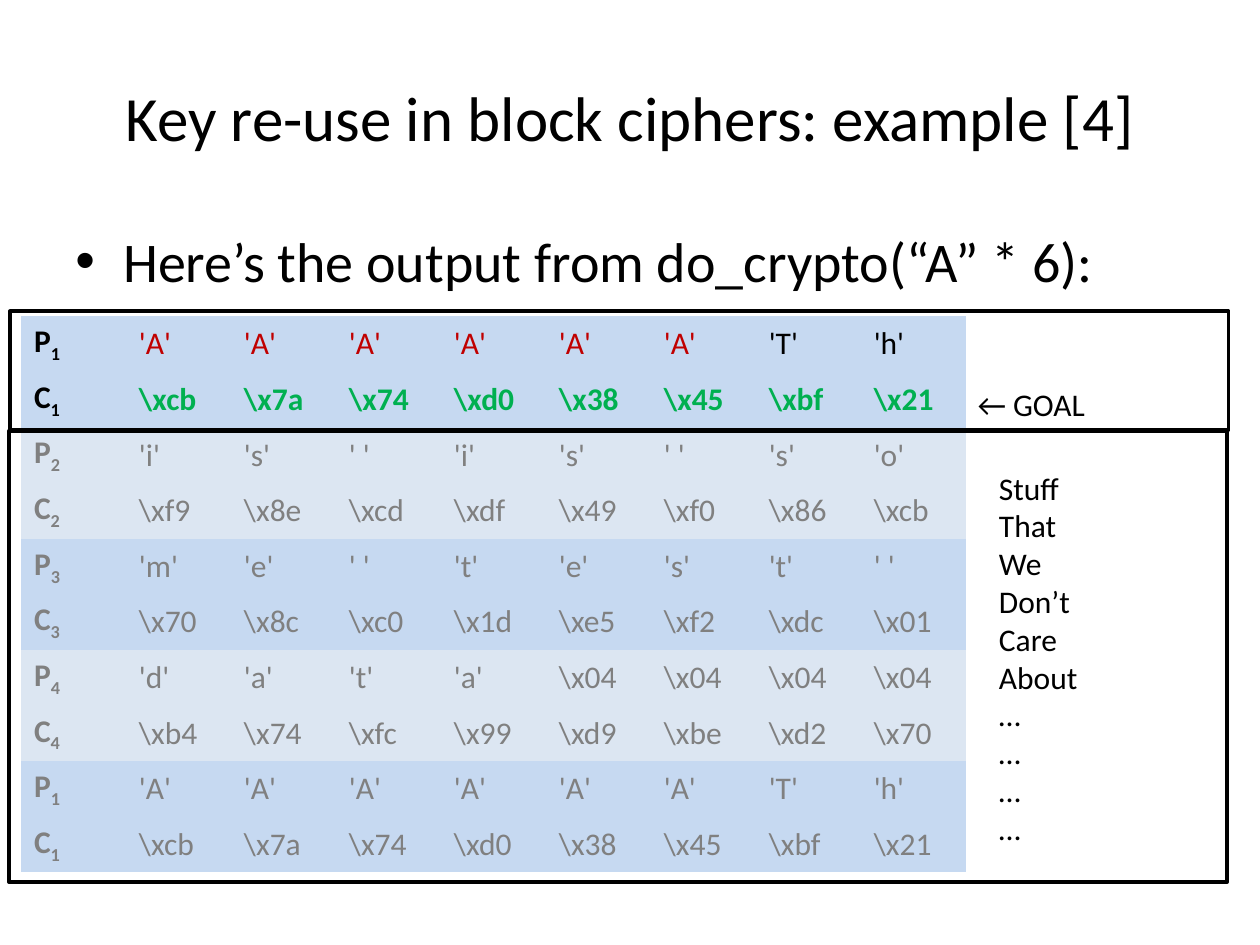
from lxml import etree
from pptx import Presentation
from pptx import util as u
from pptx.dml.color import RGBColor
from pptx.enum import shapes, text
from pptx.oxml import ns

W, H = u.Inches(10), u.Inches(7.5)
FONT = "Calibri"
NO_GRID = "{2D5ABB26-0587-4C30-8999-92F81FD0307C}"
COLORS = {
    "ink": "000000",
    "known": "C00000",
    "goal": "00B050",
    "muted": "808080",
    "band_dark": "C6D9F1",
    "band_light": "DCE6F2",
}
FIRST_BLOCK = [
    r"P1|'A'|'A'|'A'|'A'|'A'|'A'|'T'|'h'",
    r"C1|\xcb|\x7a|\x74|\xd0|\x38|\x45|\xbf|\x21",
]
ROWS = FIRST_BLOCK + [
    r"P2|'i'|'s'|' '|'i'|'s'|' '|'s'|'o'",
    r"C2|\xf9|\x8e|\xcd|\xdf|\x49|\xf0|\x86|\xcb",
    r"P3|'m'|'e'|' '|'t'|'e'|'s'|'t'|' '",
    r"C3|\x70|\x8c|\xc0|\x1d|\xe5|\xf2|\xdc|\x01",
    r"P4|'d'|'a'|'t'|'a'|\x04|\x04|\x04|\x04",
    r"C4|\xb4|\x74|\xfc|\x99|\xd9|\xbe|\xd2|\x70",
] + FIRST_BLOCK
ASIDE = ["Stuff", "That", "We", "Don’t", "Care", "About"] + ["…"] * 4


def rgb(name):
    """Return the palette colour of the given name."""
    return RGBColor.from_string(COLORS[name])


def share(left, top, width, height):
    """Turn percentages of the slide into lengths."""
    return [int(n * full / 100) for n, full in zip((left, top, width, height), (W, H, W, H))]


def add_run(p, content, size=18, color="ink", bold=False, baseline=0):
    """Append a formatted run to a paragraph."""
    r = p.add_run()
    r.text = content
    r.font.name, r.font.size, r.font.bold = FONT, u.Pt(size), bold
    r.font.color.rgb = rgb(color)
    if baseline:
        r.font._element.set("baseline", str(baseline * 1000))


def add_text(s, box, lines, align=text.PP_ALIGN.LEFT, anchor=text.MSO_ANCHOR.TOP, **style):
    """Place a wrapped text box with one paragraph per line."""
    tf = s.shapes.add_textbox(*box).text_frame
    tf.word_wrap, tf.vertical_anchor = True, anchor
    for i, line in enumerate(lines):
        p = tf.add_paragraph() if i else tf.paragraphs[0]
        p.alignment = align
        add_run(p, line, **style)
    return tf


def add_bullet(s, box, content):
    """Place a text box holding one bulleted paragraph."""
    p = add_text(s, box, [content], size=32).paragraphs[0]
    p.space_before = u.Pt(6.4)
    pPr = p._p.get_or_add_pPr()
    pPr.set("marL", str(u.Inches(0.38)))
    pPr.set("indent", str(-u.Inches(0.38)))
    etree.SubElement(pPr, ns.qn("a:buFont")).set("typeface", "Arial")
    etree.SubElement(pPr, ns.qn("a:buChar")).set("char", "•")


def cell_style(row, col):
    """Choose the format of a value from its place in the table."""
    if row == 0:
        return {"color": "known" if col <= 6 else "ink"}
    return {"color": "goal", "bold": True} if row == 1 else {"color": "muted"}


def add_blocks(s, box, rows):
    """Place the table of plaintext and ciphertext blocks."""
    cells = [row.split("|") for row in rows]
    tbl = s.shapes.add_table(len(cells), len(cells[0]), *box).table
    tbl.first_row = tbl.horz_banding = False
    tbl._tbl.tblPr.find(ns.qn("a:tableStyleId")).text = NO_GRID
    for i, row in enumerate(cells):
        for j, value in enumerate(row):
            cell = tbl.cell(i, j)
            cell.fill.solid()
            cell.fill.fore_color.rgb = rgb("band_light" if i // 2 % 2 else "band_dark")
            cell.vertical_anchor = text.MSO_ANCHOR.MIDDLE
            p = cell.text_frame.paragraphs[0]
            if j:
                add_run(p, value, **cell_style(i, j))
            else:
                color = "ink" if i < 2 else "muted"
                add_run(p, value[0], color=color, bold=True)
                add_run(p, value[1:], color=color, bold=True, baseline=-25)


def add_frame(s, box):
    """Outline a region with an unfilled rectangle."""
    sp = s.shapes.add_shape(shapes.MSO_SHAPE.RECTANGLE, *box)
    sp.shadow.inherit = False
    sp.fill.background()
    sp.line.color.rgb, sp.line.width = rgb("ink"), u.Pt(2)


def main():
    """Build the slide and save it."""
    prs = Presentation()
    prs.slide_width, prs.slide_height = W, H
    s = prs.slides.add_slide(prs.slide_layouts[6])
    add_text(s, share(5, 4, 90, 16.67), ["Key re-use in block ciphers: example [4]"],
             align=text.PP_ALIGN.CENTER, anchor=text.MSO_ANCHOR.MIDDLE, size=36)
    add_bullet(s, share(5, 23.33, 90, 66), "Here’s the output from do_crypto(“A” * 6):")
    add_blocks(s, share(1.7, 33.47, 75, 58.8), ROWS)
    add_text(s, share(76.6, 40.13, 20.8, 5.33), ["← GOAL"])
    add_frame(s, share(0.8, 32.93, 96.7, 12.6))
    add_text(s, share(78.3, 48.93, 15.8, 41.73), ASIDE)
    add_frame(s, share(0.7, 45.6, 96.7, 47.73))
    prs.save("out.pptx")


if __name__ == "__main__":
    main()
